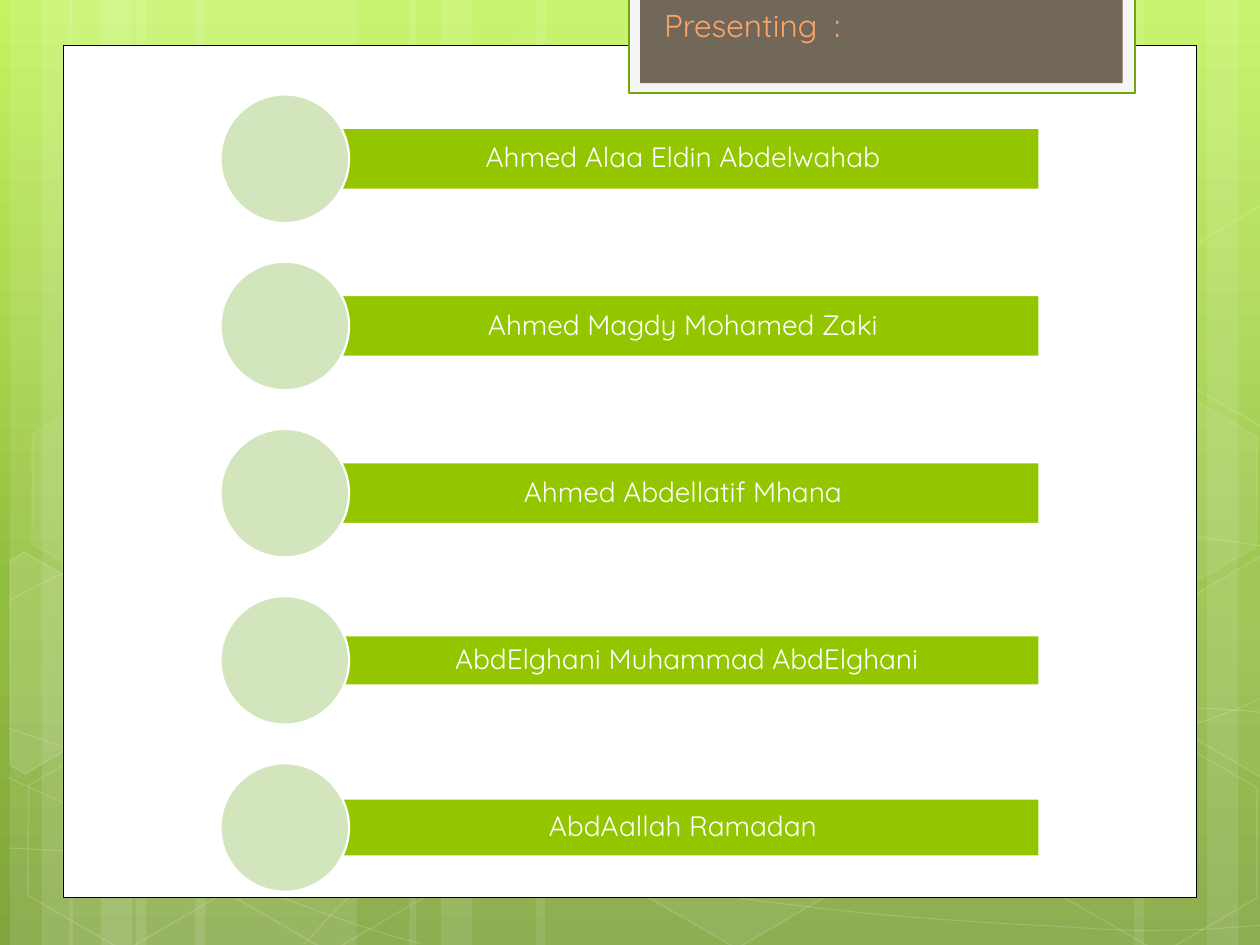
from copy import deepcopy
from math import cos, radians, sin
from lxml.etree import SubElement
from pptx import Presentation
from pptx.dml.color import RGBColor
from pptx.enum.shapes import MSO_SHAPE
from pptx.enum.text import MSO_ANCHOR, MSO_AUTO_SIZE, PP_ALIGN
from pptx.oxml.ns import qn
from pptx.util import Pt

PX = 9144  # 100 px to the inch
FONT = "Quicksand"
WHITE, LIME, PALE = "FFFFFF", "94C600", "D2E5BD"
TILT = 30

# Content: name and bar height
TITLE = "Presenting  :"
TEAM = [
    ("Ahmed Alaa Eldin Abdelwahab", 49),
    ("Ahmed Magdy Mohamed Zaki", 49),
    ("Ahmed Abdellatif Mhana", 49),
    (" AbdElghani Muhammad AbdElghani", 40),
    ("AbdAallah Ramadan", 46),
]

# Backdrop: gradient stops, then bands as left, width
STOPS = [(0, "C3F35F"), (0.62, "93BF3F"), (1, "81A53E")]
BANDS = [(108, 175), (8, 50), (33, 83), (155, 175), (55, 50), (80, 83),
         (733, 175), (958, 50), (900, 83), (425, 308), (325, 50), (350, 83)]
# Each curve: a start point, then Bezier points in threes
CURVES = [
    [(7, 673), (61, 676), (115, 679), (190, 678), (265, 677), (358, 675),
     (458, 665), (558, 655), (700, 636), (792, 617), (883, 598), (977, 568),
     (1007, 551)],
    [(7, 477), (36, 461), (65, 446), (121, 431), (178, 416), (259, 394),
     (347, 387), (436, 380), (544, 379), (654, 387), (764, 395), (947, 426),
     (1007, 434)],
    [(6, 617), (127, 672), (247, 727), (334, 749)],
    [(7, 578), (38, 589), (70, 600), (128, 616), (186, 631), (273, 656),
     (357, 673), (440, 690), (545, 708), (628, 718), (711, 729), (800, 733),
     (853, 736), (905, 740), (919, 738), (945, 738), (971, 737), (989, 735),
     (1007, 734)],
    [(242, 749), (260, 729), (278, 709), (302, 691), (326, 673), (360, 653),
     (388, 639), (416, 625), (433, 619), (470, 609), (506, 599), (573, 585),
     (608, 578), (644, 571), (649, 571), (680, 569), (711, 566), (760, 563),
     (794, 562), (829, 561), (886, 562), (886, 562), (908, 562), (931, 562),
     (953, 562), (971, 563), (988, 564), (997, 565), (1006, 566), (1003, 565),
     (1006, 566)],
]
# Hexagons: left, top, fill opacity, line opacity
HEXES = [(334, 36, 4, 8), (497, 589, 6, 12), (11, 591, 0, 12),
         (14, 312, 7, 8), (174, 592, 0, 12), (753, 453, 10, 12),
         (834, 593, 0, 12), (834, 314, 7, 8)]
# Hexagons cut by the slide edge: centre, points, fill opacity
CUTS = [
    ((36, 535), [(8, 445), (19, 438), (96, 482), (95, 570), (20, 614),
                 (8, 607)], 10),
    ((985, 520), [(926, 485), (1001, 441), (1009, 446), (1009, 613),
                  (1002, 617), (926, 573)], 4),
    ((985, 241), [(926, 207), (1001, 163), (1010, 168), (1009, 335),
                  (1002, 339), (926, 295)], 0),
]


def px(n):
    return round(n * PX)


def rgb(code):
    return RGBColor.from_string(code)


def paint(fill, code, alpha=100):
    if not code or not alpha:
        fill.background()
        return
    fill.solid()
    fill.fore_color.rgb = rgb(code)
    if alpha < 100:
        tint = fill._xPr.find(qn("a:solidFill"))[0]
        SubElement(tint, qn("a:alpha"), val=str(alpha * 1000))


def style(shape, fill=None, alpha=100, line=None, width=1, fade=100):
    shape.shadow.inherit = False
    paint(shape.fill, fill, alpha)
    paint(shape.line.fill, line, fade)
    if line:
        shape.line.width = Pt(width)
    return shape


def add(kind, x, y, w, h, **look):
    return style(shapes.add_shape(kind, px(x), px(y), px(w), px(h)), **look)


def trace(points, close, **look):
    pts = [(px(x), px(y)) for x, y in points]
    pen = shapes.build_freeform(*pts[0])
    pen.add_line_segments(pts[1:], close=close)
    return style(pen.convert_to_shape(), **look)


def bend(shape):
    """Turn each three line segments into one Bezier segment."""
    track = shape._element.find(".//" + qn("a:path"))
    legs = track.findall(qn("a:lnTo"))
    for i in range(0, len(legs), 3):
        arc = SubElement(track, qn("a:cubicBezTo"))
        for leg in legs[i:i + 3]:
            arc.append(leg[0])
            track.remove(leg)


def turn(point, mid):
    """Turn a point back by the tilt around mid."""
    a, dx, dy = radians(TILT), point[0] - mid[0], point[1] - mid[1]
    return (mid[0] + dx * cos(a) + dy * sin(a),
            mid[1] - dx * sin(a) + dy * cos(a))


def write(frame, text, size, code):
    run = frame.paragraphs[0].add_run()
    run.text = text
    run.font.size = Pt(size)
    run.font.name = FONT
    run.font.color.rgb = rgb(code)


deck = Presentation()
deck.slide_width, deck.slide_height = px(1000), px(750)
slide = deck.slides.add_slide(deck.slide_layouts[5])
shapes = slide.shapes

# Background gradient
back = slide.background.fill
back.gradient()
back.gradient_angle = 270
group = slide._element.find(".//" + qn("a:gsLst"))
group.append(deepcopy(group[-1]))
for stop, (place, code) in zip(back.gradient_stops, STOPS):
    stop.position = place
    stop.color.rgb = rgb(code)

# Bands, curves and hexagons
for x, w in BANDS:
    add(MSO_SHAPE.RECTANGLE, x, 0, w, 750, fill=WHITE, alpha=10)
for pts in CURVES:
    bend(trace(pts, False, line=WHITE, width=0.5, fade=20))
for x, y, alpha, fade in HEXES:
    cell = add(MSO_SHAPE.HEXAGON, x, y, 175, 152, fill=WHITE, alpha=alpha,
               line=WHITE, fade=fade)
    cell.adjustments[0] = 0.285
    cell.rotation = TILT
for mid, pts, alpha in CUTS:
    cell = trace([turn(p, mid) for p in pts], True, fill=WHITE, alpha=alpha,
                 line=WHITE, fade=12)
    cell.rotation = TILT

# Panel and title plate
add(MSO_SHAPE.RECTANGLE, 50, 36, 900, 676, fill=WHITE, line="000000", width=0.5)
add(MSO_SHAPE.RECTANGLE, 499, -2, 402, 76, fill="F5F5F5", line="74A510",
    width=1.25)
add(MSO_SHAPE.RECTANGLE, 508, -2, 383, 68, fill="71685A")

# Team rows: bar, name, disc
DISC, FIRST, STEP = 102, 75, 132.7
for i, (name, tall) in enumerate(TEAM):
    top = FIRST + i * STEP
    bar = (226, top + (DISC - tall) / 2, 599, tall)
    add(MSO_SHAPE.PENTAGON, *bar, fill=LIME, line=WHITE, width=1.25).rotation = 180
    frame = shapes.add_textbox(*map(px, bar)).text_frame
    frame.word_wrap = True
    frame.vertical_anchor = MSO_ANCHOR.MIDDLE
    frame.margin_left, frame.margin_right = px(45), px(12)
    frame.margin_top = frame.margin_bottom = px(7)
    frame.paragraphs[0].alignment = PP_ALIGN.CENTER
    frame.paragraphs[0].line_spacing = 0.9
    write(frame, name, 16, WHITE)
    add(MSO_SHAPE.OVAL, 175, top, DISC, DISC, fill=PALE, line=WHITE, width=1.25)

# Title, brought to the front
title = shapes.title
title.left, title.top, title.width, title.height = map(px, (517, 0, 358, 40))
frame = title.text_frame
frame.word_wrap = True
frame.auto_size = MSO_AUTO_SIZE.NONE
frame.vertical_anchor = MSO_ANCHOR.TOP
frame.paragraphs[0].alignment = PP_ALIGN.LEFT
write(frame, TITLE, 18, "FFA466")
shapes._spTree.append(title._element)

deck.save("out.pptx")
